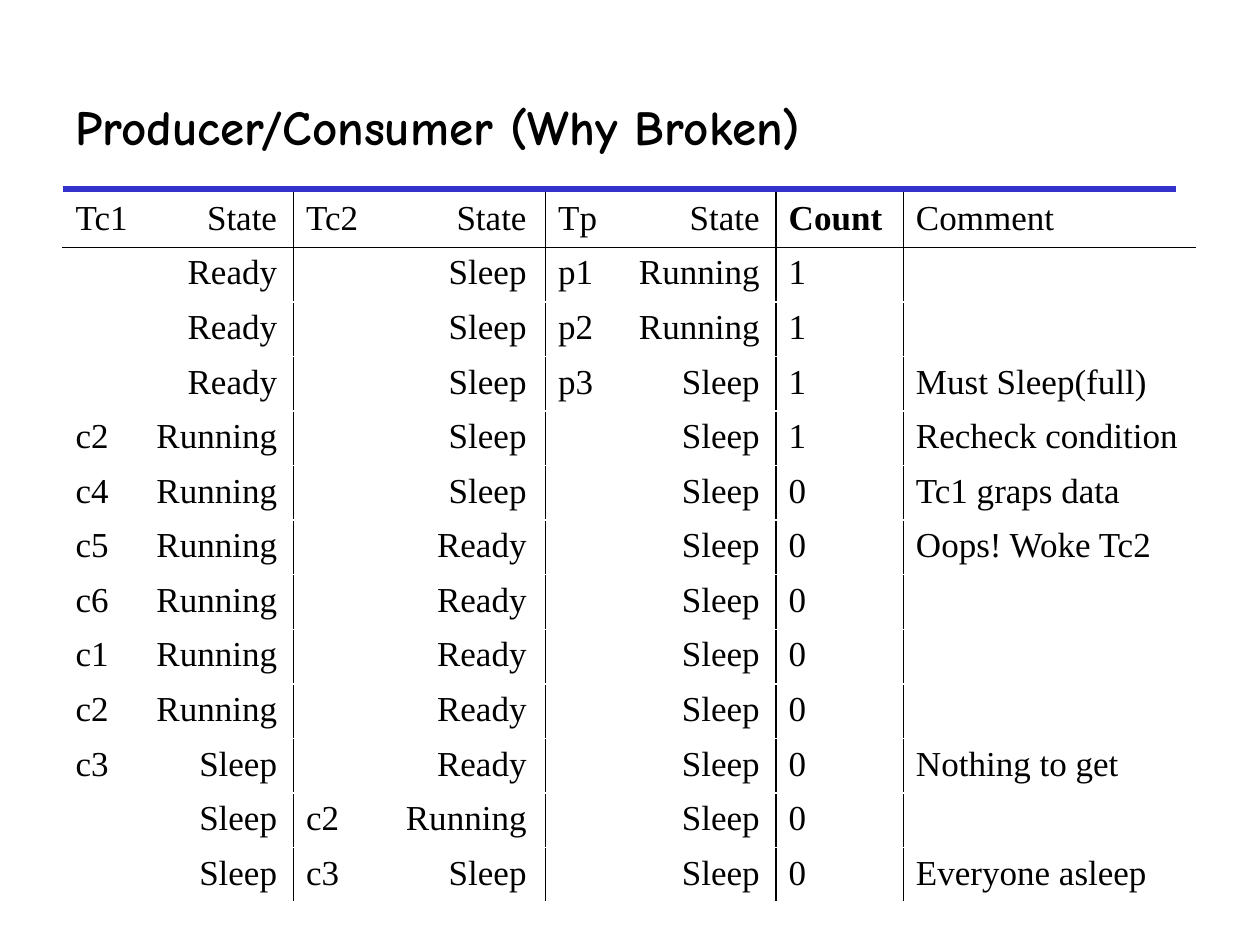
from lxml import etree
from pptx import Presentation
from pptx.dml.color import RGBColor
from pptx.enum.shapes import MSO_CONNECTOR
from pptx.enum.text import MSO_ANCHOR
from pptx.oxml.ns import qn
from pptx.util import Emu, Inches, Pt

STRAIGHT = MSO_CONNECTOR.STRAIGHT
MIDDLE = MSO_ANCHOR.MIDDLE
BLACK = RGBColor(0x00, 0x00, 0x00)
WHITE = RGBColor(0xFF, 0xFF, 0xFF)
BLUE = RGBColor(0x33, 0x33, 0xCC)

LEFT = Inches(0.5)
COLUMNS = [1.83, 2, 1.83, 1.01, 2.32]
STATE_TABS = [1.6, 1.75, 1.6]  # right edge of each thread's state
TABLE_TOP, TABLE_HEIGHT = Inches(1.53), Inches(5.63)

# Each thread cell holds a code line and a state, parted by a tab
ROWS = [
    ["Tc1\tState", "Tc2\tState", "Tp\tState", "Count", "Comment"],
    ["\tReady", "\tSleep", "p1\tRunning", "1", ""],
    ["\tReady", "\tSleep", "p2\tRunning", "1", ""],
    ["\tReady", "\tSleep", "p3\tSleep", "1", "Must Sleep(full)"],
    ["c2\tRunning", "\tSleep", "\tSleep", "1", "Recheck condition"],
    ["c4\tRunning", "\tSleep", "\tSleep", "0", "Tc1 graps data"],
    ["c5\tRunning", "\tReady", "\tSleep", "0", "Oops! Woke Tc2"],
    ["c6\tRunning", "\tReady", "\tSleep", "0", ""],
    ["c1\tRunning", "\tReady", "\tSleep", "0", ""],
    ["c2\tRunning", "\tReady", "\tSleep", "0", ""],
    ["c3\tSleep", "\tReady", "\tSleep", "0", "Nothing to get"],
    ["\tSleep", "c2\tRunning", "\tSleep", "0", ""],
    ["\tSleep", "c3\tSleep", "\tSleep", "0", "Everyone asleep"],
]


def add_run(p, text, font, size, bold=False):
    r = p.add_run()
    r.text = text
    r.font.name = font
    r.font.size = Pt(size)
    r.font.bold = bold
    r.font.color.rgb = BLACK


def add_border(cell, side, color):
    """Draw one side of a cell; call in the order L, R, T, B, before the fill."""
    ln = etree.SubElement(cell._tc.get_or_add_tcPr(), qn(f"a:ln{side}"), w=str(Pt(1)))
    fill = etree.SubElement(ln, qn("a:solidFill"))
    etree.SubElement(fill, qn("a:srgbClr"), val=str(color))


prs = Presentation()
prs.slide_width, prs.slide_height = Inches(10), Inches(7.5)
s = prs.slides.add_slide(prs.slide_layouts[6])

# Rule under the title
rule = s.shapes.add_connector(STRAIGHT, LEFT, Inches(1.5), Inches(9.33), Inches(1.5))
rule.line.color.rgb = BLUE
rule.line.width = Pt(3)
etree.SubElement(rule._element.spPr, qn("a:effectLst"))

# Schedule table
table = s.shapes.add_table(len(ROWS), len(COLUMNS), LEFT, TABLE_TOP,
                           Inches(sum(COLUMNS)), TABLE_HEIGHT).table
table.first_row = False
table.horz_banding = False
for column, width in zip(table.columns, COLUMNS):
    column.width = Inches(width)
for row in table.rows:
    row.height = Emu(TABLE_HEIGHT // len(ROWS))

last = len(COLUMNS) - 1
for i, texts in enumerate(ROWS):
    for j, text in enumerate(texts):
        cell = table.cell(i, j)
        add_border(cell, "L", BLACK if j > 0 else WHITE)
        add_border(cell, "R", BLACK if j < last else WHITE)
        add_border(cell, "T", BLACK if i == 1 else WHITE)
        add_border(cell, "B", BLACK if i == 0 else WHITE)
        cell.fill.background()
        if not text:
            continue
        p = cell.text_frame.paragraphs[0]
        if j < len(STATE_TABS):
            tabs = etree.SubElement(p._p.get_or_add_pPr(), qn("a:tabLst"))
            etree.SubElement(tabs, qn("a:tab"), pos=str(Inches(STATE_TABS[j])), algn="r")
        add_run(p, text, "Times New Roman", 20, bold=text == "Count")

# Title
tf = s.shapes.add_textbox(LEFT, Inches(0.5), Inches(8.83), Inches(1)).text_frame
tf.word_wrap = True
tf.vertical_anchor = MIDDLE
add_run(tf.paragraphs[0], "Producer/Consumer (Why Broken)", "Comic Neue", 28, bold=True)

prs.save("out.pptx")
